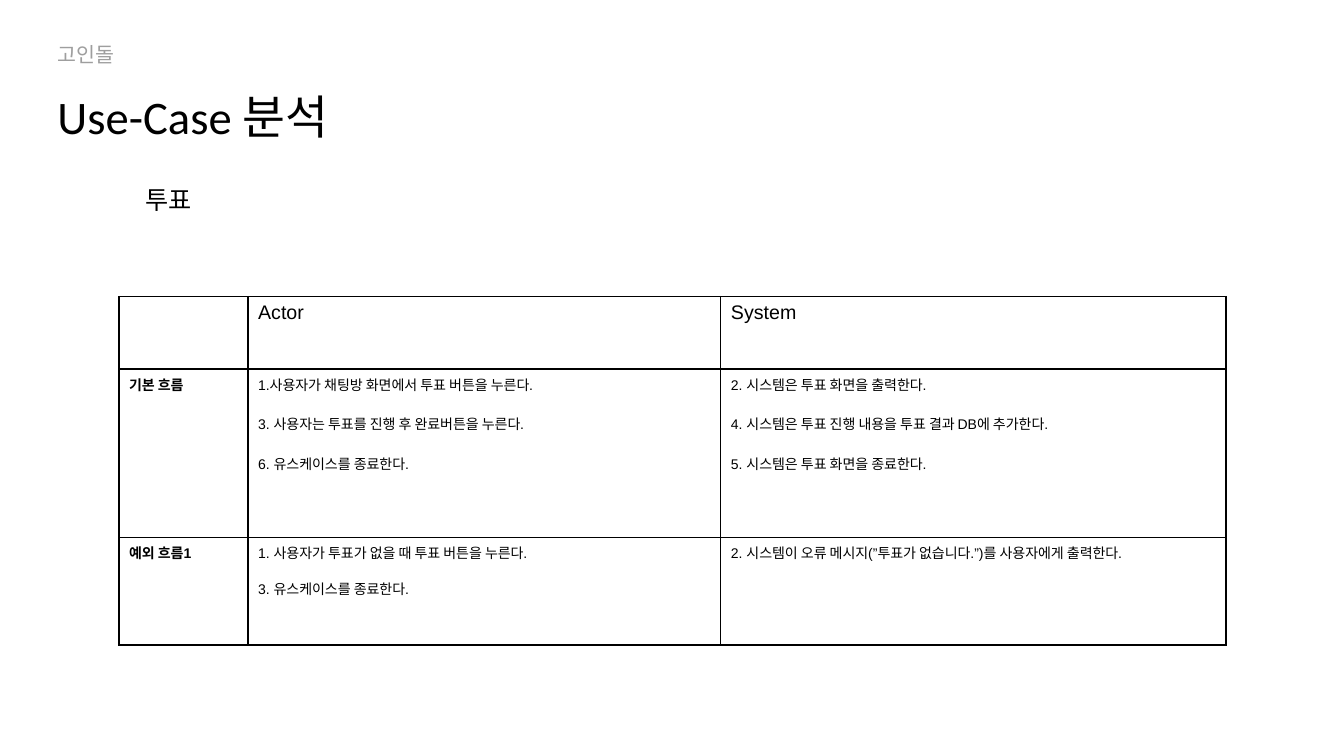
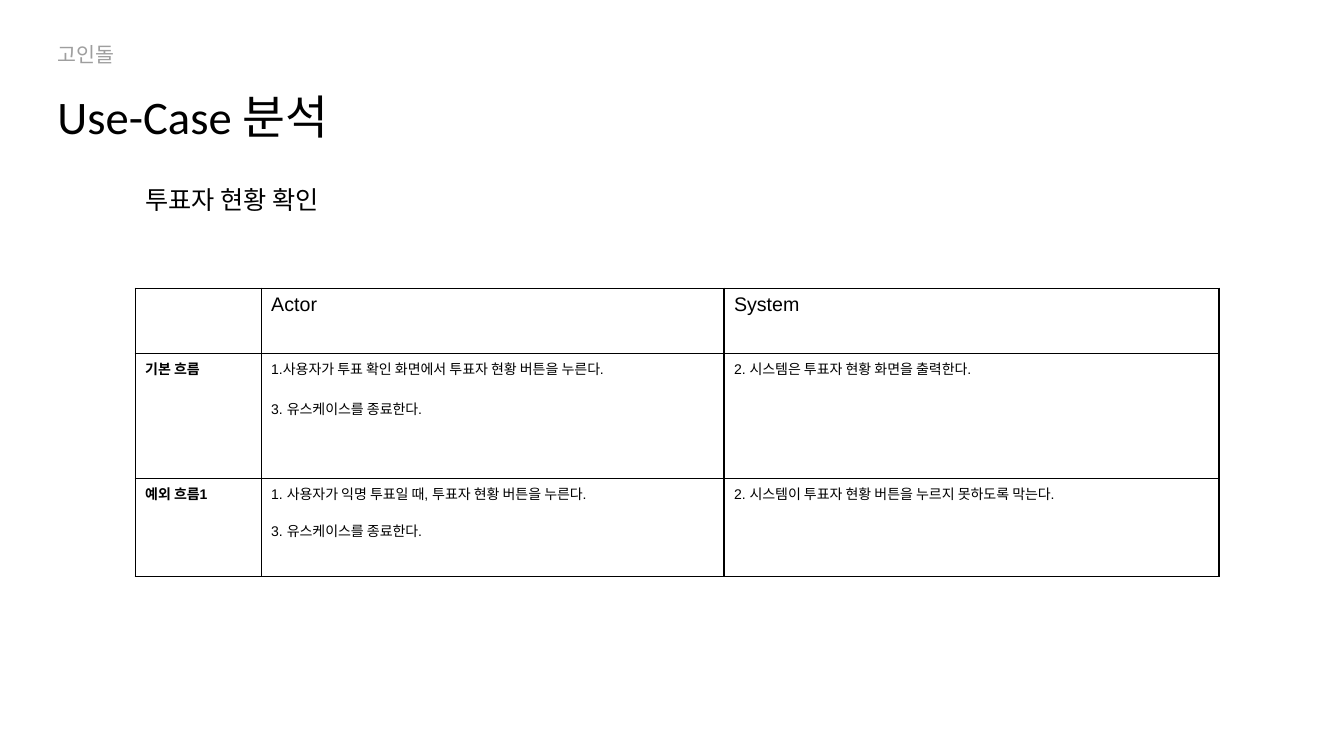
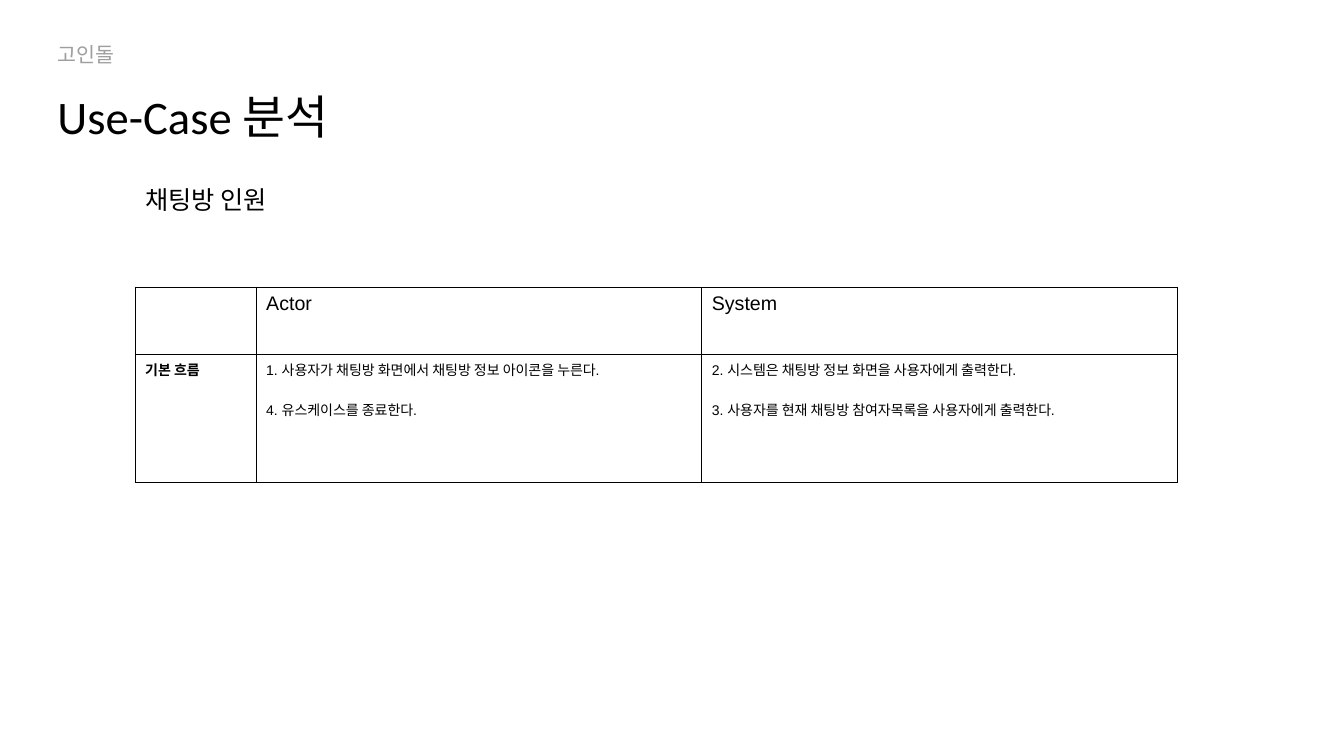
from pptx import Presentation
from pptx.dml.color import RGBColor
from pptx.enum.text import MSO_ANCHOR, MSO_AUTO_SIZE, PP_ALIGN
from pptx.oxml import parse_xml
from pptx.oxml.ns import nsdecls
from pptx.util import Pt

PX = 9144
BLACK = RGBColor(0x00, 0x00, 0x00)
GREY = RGBColor(0x9E, 0x9E, 0x9E)
HEADS = ["", "Actor", "System"]
BASIC, ERROR = "기본 흐름", "예외 흐름1"
GAPS = {BASIC: 14, ERROR: 11.5}


class Deck:
    """Holds the shared style and the current slide."""

    def __init__(self):
        self.file = Presentation()
        self.file.slide_width = 1333 * PX
        self.file.slide_height = 750 * PX
        self.slide = None

    def start(self, topic):
        self.slide = self.file.slides.add_slide(self.file.slide_layouts[5])
        self.label("고인돌", (47, 37, 283, 35), 14.7, GREY)
        self.title("Use-Case 분석")
        self.label(topic, (134, 178, 276, 41), 18, BLACK)

    def title(self, text):
        shape = self.slide.shapes.title
        shape.left, shape.top, shape.width, shape.height = (
            n * PX for n in (47, 82, 528, 66))
        self.fill_text(shape.text_frame, text, 33.3, BLACK)

    def label(self, text, area, size, color):
        box = self.slide.shapes.add_textbox(*(n * PX for n in area))
        self.fill_text(box.text_frame, text, size, color)

    def fill_text(self, frame, text, size, color):
        frame.text = text
        frame.word_wrap = True
        frame.auto_size = MSO_AUTO_SIZE.SHAPE_TO_FIT_TEXT
        frame.vertical_anchor = MSO_ANCHOR.TOP
        frame.paragraphs[0].alignment = PP_ALIGN.LEFT
        self.style(frame.paragraphs[0], size, color, "Calibri")

    def style(self, para, size, color, face, bold=False):
        for run in para.runs:
            font = run.font
            font.name, font.size, font.bold = face, Pt(size), bold
            font.color.rgb = color

    def table(self, left, top, cols, rows, flows):
        frame = self.slide.shapes.add_table(
            len(rows), len(cols), left * PX, top * PX,
            sum(cols) * PX, sum(rows) * PX)
        grid = frame.table
        grid.first_row = grid.horz_banding = False
        for col, width in zip(grid.columns, cols):
            col.width = width * PX
        for row, height in zip(grid.rows, rows):
            row.height = height * PX
        for cell, text in zip(grid.rows[0].cells, HEADS):
            self.cell(cell, text, 14)
        for row, (name, *steps) in zip(list(grid.rows)[1:], flows):
            self.cell(row.cells[0], name, 10, bold=True)
            for cell, lines in zip(list(row.cells)[1:], steps):
                self.cell(cell, "\n".join(lines), 10, gap=GAPS[name])

    def cell(self, cell, text, size, bold=False, gap=0):
        cell.text_frame.text = text
        for spot, para in enumerate(cell.text_frame.paragraphs):
            if spot:
                para.space_before = Pt(gap)
            self.style(para, size, BLACK, "Arial", bold)
        for side in "LRTB":
            cell._tc.get_or_add_tcPr().append(parse_xml(
                f'<a:ln{side} {nsdecls("a")} w="{Pt(1)}"><a:solidFill>'
                f'<a:srgbClr val="{BLACK}"/></a:solidFill></a:ln{side}>'))
        cell.fill.background()


def main():
    deck = Deck()

    deck.start("투표")
    deck.table(118, 294, [128, 469, 501], [72, 167, 107], [
        (BASIC,
         ["1.사용자가 채팅방 화면에서 투표 버튼을 누른다.",
          "3. 사용자는 투표를 진행 후 완료버튼을 누른다.",
          "6. 유스케이스를 종료한다."],
         ["2. 시스템은 투표 화면을 출력한다.",
          "4. 시스템은 투표 진행 내용을 투표 결과 DB에 추가한다.",
          "5. 시스템은 투표 화면을 종료한다."]),
        (ERROR,
         ["1. 사용자가 투표가 없을 때 투표 버튼을 누른다.",
          "3. 유스케이스를 종료한다."],
         ["2. 시스템이 오류 메시지(”투표가 없습니다.”)를 사용자에게 출력한다."]),
    ])

    deck.start("투표자 현황 확인")
    deck.table(134, 286, [125, 459, 491], [65, 124, 97], [
        (BASIC,
         ["1.사용자가 투표 확인 화면에서 투표자 현황 버튼을 누른다.",
          "3. 유스케이스를 종료한다."],
         ["2. 시스템은 투표자 현황 화면을 출력한다."]),
        (ERROR,
         ["1. 사용자가 익명 투표일 때, 투표자 현황 버튼을 누른다.",
          "3. 유스케이스를 종료한다."],
         ["2. 시스템이 투표자 현황 버튼을 누르지 못하도록 막는다."]),
    ])

    deck.start("채팅방 인원")
    deck.table(134, 285, [120, 442, 472], [67, 127], [
        (BASIC,
         ["1. 사용자가 채팅방 화면에서 채팅방 정보 아이콘을 누른다.",
          "4. 유스케이스를 종료한다."],
         ["2. 시스템은 채팅방 정보 화면을 사용자에게 출력한다.",
          "3. 사용자를 현재 채팅방 참여자목록을 사용자에게 출력한다."]),
    ])

    deck.file.save("out.pptx")


if __name__ == "__main__":
    main()
